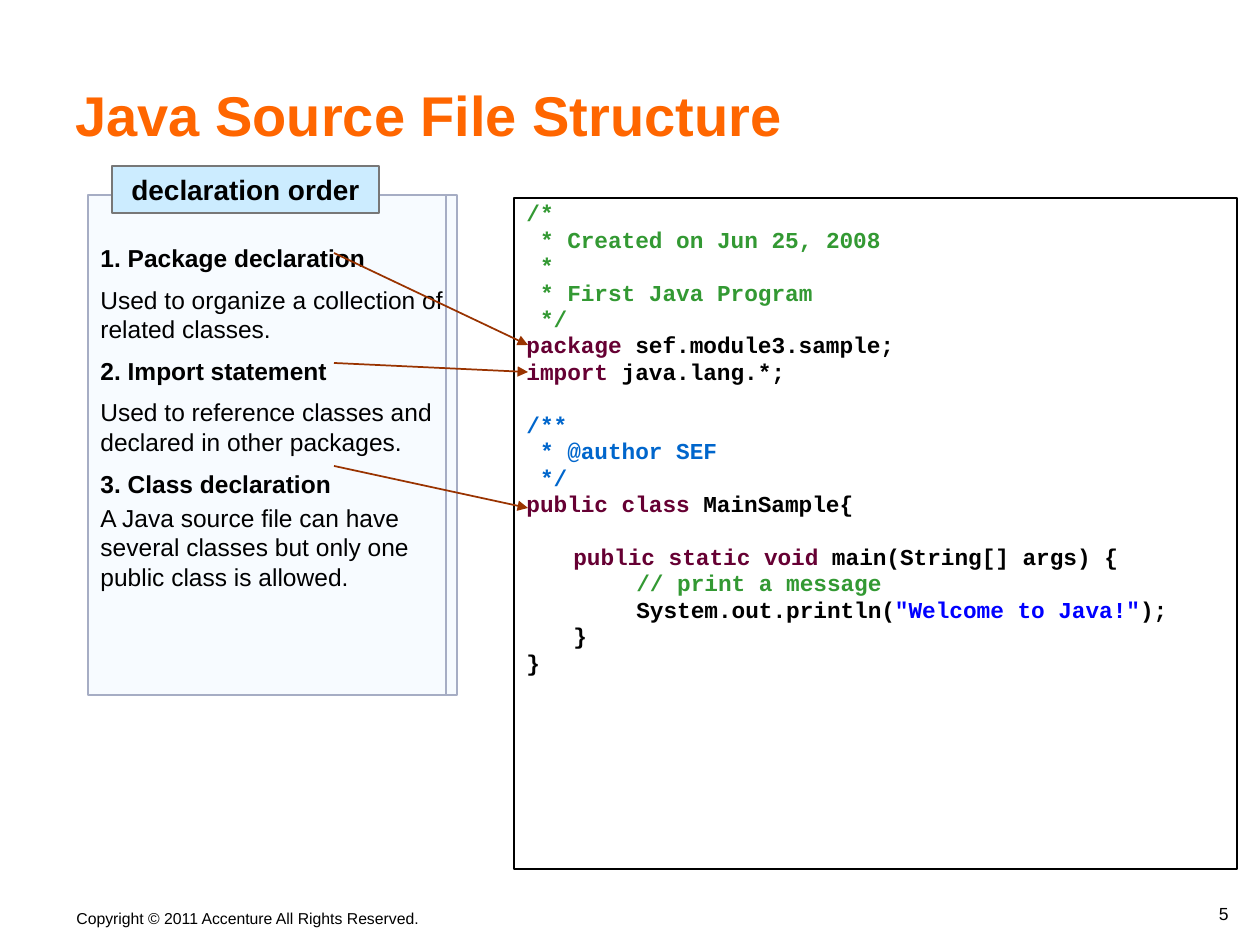
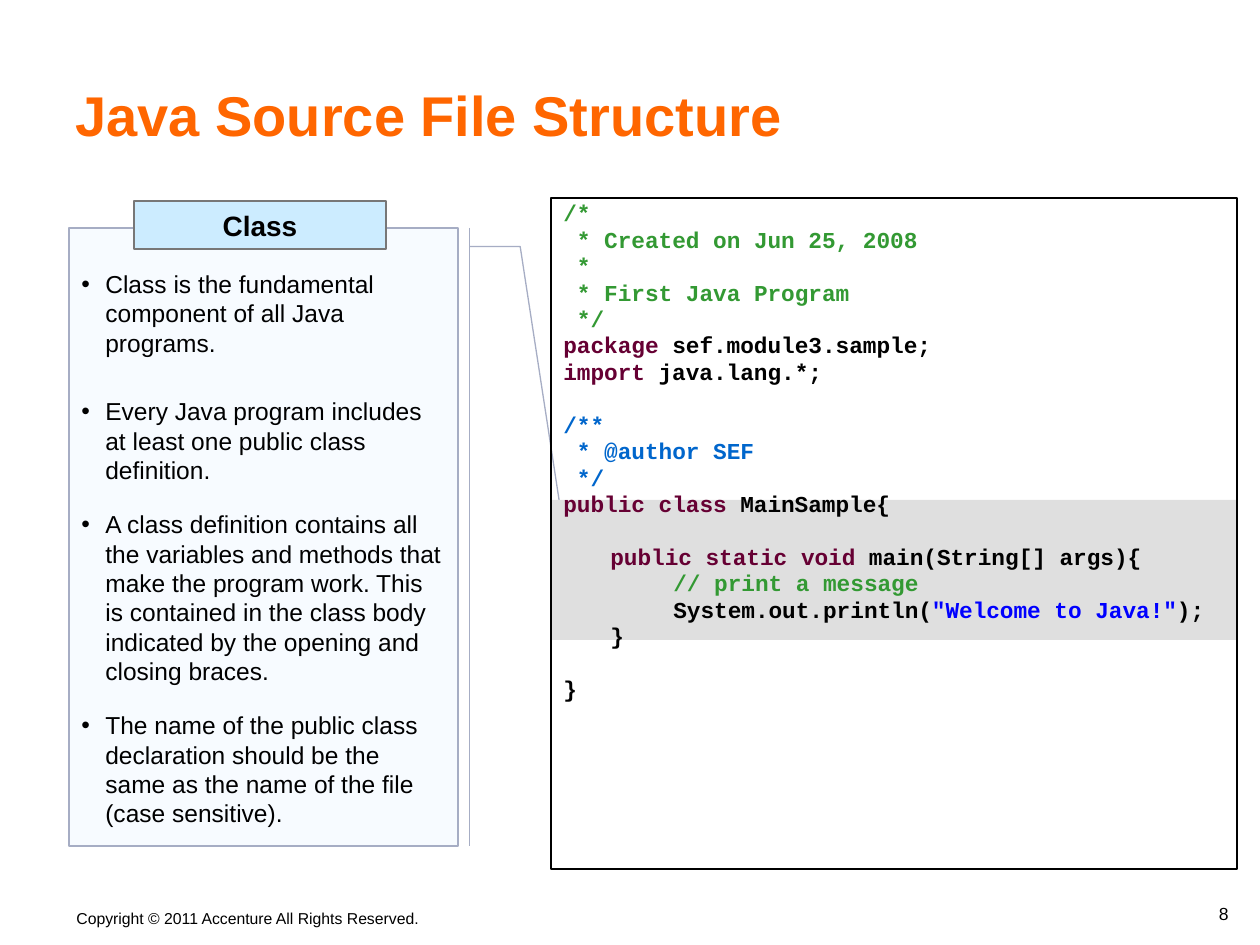
from lxml.etree import SubElement
from pptx import Presentation
from pptx.dml.color import RGBColor
from pptx.enum.shapes import MSO_CONNECTOR, MSO_SHAPE
from pptx.enum.text import MSO_ANCHOR, PP_ALIGN
from pptx.oxml.ns import qn
from pptx.util import Emu, Pt

EMU_PER_PX = 914400 / 126
SLIDE_SIZE = (1260, 945)

BLACK, ORANGE = "000000", "FF6600"
PANEL_FILL, PANEL_LINE = "F7FBFF", "A6ADC4"
LABEL_FILL, LABEL_LINE = "CCECFF", "777777"
ARROW, HIGHLIGHT = "993300", "C0C0C0"
COMMENT, KEYWORD, JAVADOC, STRING = "339933", "660033", "0066CC", "0000FF"

TITLE = "Java Source File Structure"
COPYRIGHT = "Copyright © 2011 Accenture All Rights Reserved."
TITLE_BOX = (63, 28, 1124, 126)
COPYRIGHT_BOX = (64, 903, 374, 32)
NUMBER_BOX = (1008, 892, 233, 38)
CODE_TOP, CODE_RIGHT, CODE_HEIGHT = 198, 1237, 671
CODE_INDENT, BULLET_INDENT = 47, 24
CODE_SPACE, CODE_BLANK = 2.6, 15.1

CODE_START = [
    [("/*", COMMENT)],
    [(" * Created on Jun 25, 2008", COMMENT)],
    [(" *", COMMENT)],
    [(" * First Java Program", COMMENT)],
    [(" */", COMMENT)],
    [("package", KEYWORD), (" sef.module3.sample;", BLACK)],
    [("import", KEYWORD), (" java.lang.*;", BLACK)],
    [],
    [("/**", JAVADOC)],
    [(" * @author SEF", JAVADOC)],
    [(" */", JAVADOC)],
    [("public class", KEYWORD), (" MainSample{", BLACK)],
    [],
]
CODE_BODY = [
    [("\t\t// print a message", COMMENT)],
    [("\t\tSystem.out.println(", BLACK), ('"Welcome to Java!"', STRING), (");", BLACK)],
    [("\t}", BLACK)],
]
CODE_END = [[("}", BLACK)]]


def main_line(signature):
    return [[("\tpublic static void", KEYWORD), (signature, BLACK)]]


ORDER_CODE = CODE_START + main_line(" main(String[] args) {") + CODE_BODY + CODE_END
CLASS_CODE = CODE_START + main_line(" main(String[] args){") + CODE_BODY + [[]] + CODE_END

ORDER_TEXT = [
    ("1. Package declaration", True, 0),
    ("Used to organize a collection of related classes.", False, 7),
    ("2. Import statement", True, 7),
    ("Used to reference classes and declared in other packages.", False, 7),
    ("3. Class declaration", True, 7),
    ("A Java source file can have several classes but only one public class is allowed.", False, 2.8),
]
CLASS_TEXT = [
    ("Class is the fundamental component of all Java programs.", False, 0),
    ("Every Java program includes at least one public class definition.", False, 22.4),
    ("A class definition contains all the variables and methods that make the program work. "
     "This is contained in the class body indicated by the opening and closing braces.", False, 14),
    ("The name of the public class declaration should be the same as the name of the file "
     "(case sensitive).", False, 14),
]
ORDER_ARROWS = [
    ((334, 253), (528, 345)),
    ((334, 363), (528, 372)),
    ((334, 466), (528, 508)),
]


def px(length):
    return Emu(round(length * EMU_PER_PX))


def rgb(color):
    return RGBColor.from_string(color)


def set_font(paragraph, size, color=BLACK, bold=False, name="Arial"):
    font = paragraph.font
    font.name, font.size, font.bold = name, Pt(size), bold
    font.color.rgb = rgb(color)


def set_alpha(shape, percent):
    color = shape.fill._xPr.find(qn("a:solidFill"))[0]
    SubElement(color, qn("a:alpha")).set("val", str(percent * 1000))


def hang(paragraph, indent, bullet=None):
    properties = paragraph._p.get_or_add_pPr()
    properties.set("marL", str(px(indent)))
    properties.set("indent", str(-px(indent)))
    if bullet:
        SubElement(properties, qn("a:buFont")).set("typeface", "Arial")
        SubElement(properties, qn("a:buChar")).set("char", bullet)


def paragraphs_for(frame, items):
    for index, item in enumerate(items):
        yield item, frame.paragraphs[0] if index == 0 else frame.add_paragraph()


def add_text(slide, box, text, size, color=BLACK, bold=False, align=PP_ALIGN.LEFT,
             anchor=MSO_ANCHOR.BOTTOM):
    frame = slide.shapes.add_textbox(*map(px, box)).text_frame
    frame.word_wrap = True
    frame.vertical_anchor = anchor
    paragraph = frame.paragraphs[0]
    paragraph.text, paragraph.alignment = text, align
    set_font(paragraph, size, color, bold)
    return paragraph


def add_box(slide, kind, box, fill=None, line=None, line_width=0.75):
    shape = slide.shapes.add_shape(kind, *map(px, box))
    shape.shadow.inherit = False
    if fill:
        shape.fill.solid()
        shape.fill.fore_color.rgb = rgb(fill)
    else:
        shape.fill.background()
    if line:
        shape.line.color.rgb = rgb(line)
        shape.line.width = Pt(line_width)
    else:
        shape.line.fill.background()
    shape.text_frame.word_wrap = True
    shape.text_frame.vertical_anchor = MSO_ANCHOR.TOP
    return shape


def add_panel(slide, kind, box, adjustments, items, top_margin, bullet=None):
    panel = add_box(slide, kind, box, PANEL_FILL, PANEL_LINE)
    for index, value in enumerate(adjustments):
        panel.adjustments[index] = value
    frame = panel.text_frame
    frame.margin_top = px(top_margin)
    for (text, bold, space), paragraph in paragraphs_for(frame, items):
        paragraph.text, paragraph.alignment = text, PP_ALIGN.LEFT
        paragraph.space_before = Pt(space)
        if bullet:
            hang(paragraph, BULLET_INDENT, bullet)
        set_font(paragraph, 14, bold=bold)
    return panel


def add_label(slide, box, text):
    label = add_box(slide, MSO_SHAPE.RECTANGLE, box, LABEL_FILL, LABEL_LINE)
    label.text_frame.vertical_anchor = MSO_ANCHOR.MIDDLE
    paragraph = label.text_frame.paragraphs[0]
    paragraph.text, paragraph.alignment = text, PP_ALIGN.CENTER
    set_font(paragraph, 16, bold=True)


def add_code(slide, left, lines):
    box = (left, CODE_TOP, CODE_RIGHT - left, CODE_HEIGHT)
    frame = add_box(slide, MSO_SHAPE.RECTANGLE, box, line=BLACK, line_width=1).text_frame
    spaced, space = [], 0
    for line in lines:
        if line:
            spaced.append((line, space))
            space = CODE_SPACE
        else:
            space += CODE_BLANK
    for (line, space), paragraph in paragraphs_for(frame, spaced):
        paragraph.alignment = PP_ALIGN.LEFT
        paragraph.line_spacing, paragraph.space_before = 0.8, Pt(space)
        hang(paragraph, CODE_INDENT)
        set_font(paragraph, 13, bold=True, name="Courier New")
        for text, color in line:
            run = paragraph.add_run()
            run.text = text
            run.font.color.rgb = rgb(color)


def add_arrow(slide, start, end):
    arrow = slide.shapes.add_connector(MSO_CONNECTOR.STRAIGHT, *map(px, start + end))
    arrow.line.color.rgb = rgb(ARROW)
    arrow.line.width = Pt(1)
    SubElement(arrow.line._get_or_add_ln(), qn("a:tailEnd")).set("type", "triangle")
    SubElement(arrow._element.spPr, qn("a:effectLst"))


def add_slide(presentation, number):
    slide = presentation.slides.add_slide(presentation.slide_layouts[6])
    add_text(slide, COPYRIGHT_BOX, COPYRIGHT, 9, anchor=MSO_ANCHOR.TOP)
    page = add_text(slide, NUMBER_BOX, str(number), 10, align=PP_ALIGN.RIGHT)
    page.line_spacing = 0.8
    add_text(slide, TITLE_BOX, TITLE, 32, ORANGE, True)
    return slide


def add_order_slide(presentation):
    slide = add_slide(presentation, 5)
    add_code(slide, 514, ORDER_CODE)
    panel = add_panel(slide, MSO_SHAPE.LINE_CALLOUT_1_BORDER_AND_ACCENT_BAR,
                      (88, 195, 369, 500), (0.03, 0.97, 0.03, 0.97), ORDER_TEXT, 48)
    set_alpha(panel, 90)
    add_label(slide, (112, 166, 267, 47), "declaration order")
    for start, end in ORDER_ARROWS:
        add_arrow(slide, start, end)


def add_class_slide(presentation):
    slide = add_slide(presentation, 8)
    highlight = add_box(slide, MSO_SHAPE.RECTANGLE, (551, 500, 686, 140), HIGHLIGHT)
    set_alpha(highlight, 50)
    add_panel(slide, MSO_SHAPE.LINE_CALLOUT_2_BORDER_AND_ACCENT_BAR, (69, 228, 389, 618),
              (0.03, 1.03, 0.03, 1.16, 0.44, 1.26), CLASS_TEXT, 41, "•")
    add_label(slide, (134, 201, 252, 48), "Class")
    add_code(slide, 551, CLASS_CODE)


def main():
    presentation = Presentation()
    presentation.slide_width, presentation.slide_height = map(px, SLIDE_SIZE)
    add_order_slide(presentation)
    add_class_slide(presentation)
    presentation.save("out.pptx")


if __name__ == "__main__":
    main()
